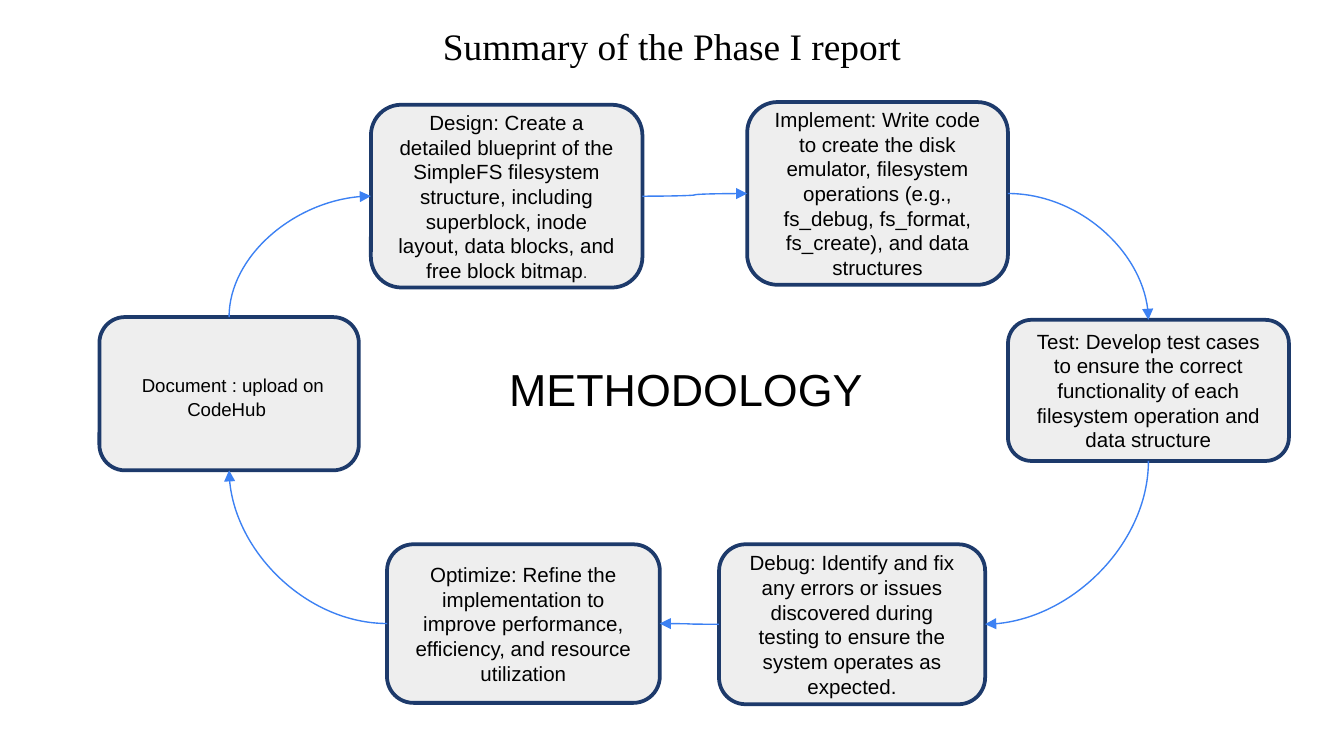
from dataclasses import dataclass

import pptx
import pptx.dml.color
import pptx.enum.shapes
import pptx.enum.text
import pptx.oxml
import pptx.oxml.ns
import pptx.util

Inches = pptx.util.Inches
TOP, LEFT, BOTTOM, RIGHT = range(4)


@dataclass(frozen=True)
class Theme:
    text: str = "000000"
    box_fill: str = "EEEEEE"
    box_line: str = "1D3A6B"
    arrow: str = "3C81F3"
    title_font: str = "Times New Roman"
    body_font: str = "Arial"
    title_size: float = 20
    center_size: float = 24
    step_size: float = 11
    note_size: float = 10
    stop_size: float = 8
    lead_size: float = 14
    box_width: float = 2
    arrow_width: float = 0.75


theme = Theme()


def rgb(value):
    return pptx.dml.color.RGBColor.from_string(value)


def add_run(paragraph, text, size, font=theme.body_font):
    run = paragraph.add_run()
    run.text = text
    run.font.name = font
    run.font.size = pptx.util.Pt(size)
    run.font.color.rgb = rgb(theme.text)


prs = pptx.Presentation()
prs.slide_width = Inches(10)
prs.slide_height = prs.slide_width * 9 // 16
slide = prs.slides.add_slide(prs.slide_layouts[5])

# Headings
title = slide.shapes.title
title.left, title.top = Inches(2.5), Inches(0.12)
title.width, title.height = Inches(5), Inches(0.44)
title.text_frame.vertical_anchor = pptx.enum.text.MSO_ANCHOR.TOP
title.text_frame.auto_size = pptx.enum.text.MSO_AUTO_SIZE.SHAPE_TO_FIT_TEXT
title_line = title.text_frame.paragraphs[0]
title_line.alignment = pptx.enum.text.PP_ALIGN.CENTER
add_run(title_line, "Summary of the Phase I report", theme.title_size, theme.title_font)

center = slide.shapes.add_textbox(Inches(3.69), Inches(2.64), Inches(5), Inches(0.5))
center.text_frame.word_wrap = True
center.text_frame.auto_size = pptx.enum.text.MSO_AUTO_SIZE.SHAPE_TO_FIT_TEXT
add_run(center.text_frame.paragraphs[0], "METHODOLOGY", theme.center_size)

# Steps of the cycle: place and text runs
steps = {
    "document": ((0.74, 2.36, 1.93, 1.14), [
        (" ", theme.lead_size),
        ("Document : upload on CodeHub ", theme.note_size)]),
    "design": ((2.76, 0.78, 2.02, 1.36), [
        ("Design: Create a detailed blueprint of the SimpleFS filesystem structure, "
         "including superblock, inode layout, data blocks, and free block bitmap",
         theme.step_size),
        (".", theme.stop_size)]),
    "implement": ((5.56, 0.76, 1.94, 1.36), [
        ("Implement: Write code to create the disk emulator, filesystem operations "
         "(e.g., fs_debug, fs_format, fs_create), and data structures",
         theme.step_size)]),
    "test": ((7.5, 2.38, 2.09, 1.05), [
        ("Test: Develop test cases to ensure the correct functionality of each "
         "filesystem operation and data structure", theme.step_size)]),
    "optimize": ((2.88, 4.05, 2.03, 1.18), [
        ("Optimize: Refine the implementation to improve performance, efficiency, "
         "and resource utilization", theme.step_size)]),
    "debug": ((5.35, 4.05, 1.98, 1.19), [
        ("Debug: Identify and fix any errors or issues discovered during testing "
         "to ensure the system operates as expected.", theme.step_size)]),
}
boxes = {}
for step, (place, runs) in steps.items():
    box = slide.shapes.add_shape(
        pptx.enum.shapes.MSO_SHAPE.ROUNDED_RECTANGLE, *map(Inches, place))
    box.shadow.inherit = False
    box.fill.solid()
    box.fill.fore_color.rgb = rgb(theme.box_fill)
    box.line.color.rgb = rgb(theme.box_line)
    box.line.width = pptx.util.Pt(theme.box_width)
    box.text_frame.word_wrap = True
    box.text_frame.vertical_anchor = pptx.enum.text.MSO_ANCHOR.MIDDLE
    paragraph = box.text_frame.paragraphs[0]
    paragraph.alignment = pptx.enum.text.PP_ALIGN.CENTER
    for text, size in runs:
        add_run(paragraph, text, size)
    boxes[step] = box

# Curved arrows around the cycle
arrows = [
    ("design", RIGHT, "implement", LEFT),
    ("implement", RIGHT, "test", TOP),
    ("test", BOTTOM, "debug", RIGHT),
    ("debug", LEFT, "optimize", RIGHT),
    ("optimize", LEFT, "document", BOTTOM),
    ("document", TOP, "design", LEFT),
]
for source, source_side, target, target_side in arrows:
    arrow = slide.shapes.add_connector(
        pptx.enum.shapes.MSO_CONNECTOR.CURVE, 0, 0, 0, 0)
    arrow.begin_connect(boxes[source], source_side)
    arrow.end_connect(boxes[target], target_side)
    arrow.line.color.rgb = rgb(theme.arrow)
    arrow.line.width = pptx.util.Pt(theme.arrow_width)
    properties = arrow._element.spPr
    leaves_vertically = source_side in (TOP, BOTTOM)
    if leaves_vertically or target_side in (TOP, BOTTOM):
        properties.find(pptx.oxml.ns.qn("a:prstGeom")).set("prst", "curvedConnector2")
    if leaves_vertically:
        # A quarter turn about the same centre swaps width and height.
        shift = (arrow.width - arrow.height) // 2
        arrow.left, arrow.top = arrow.left + shift, arrow.top - shift
        arrow.width, arrow.height = arrow.height, arrow.width
        properties.xfrm.rot = 90
        properties.xfrm.flipH = properties.xfrm.flipV = source_side == TOP
    head = pptx.oxml.parse_xml(
        f'<a:tailEnd {pptx.oxml.ns.nsdecls("a")} type="triangle"/>')
    arrow.line._get_or_add_ln().append(head)
    properties.append(pptx.oxml.parse_xml(
        f'<a:effectLst {pptx.oxml.ns.nsdecls("a")}/>'))

prs.save("out.pptx")
